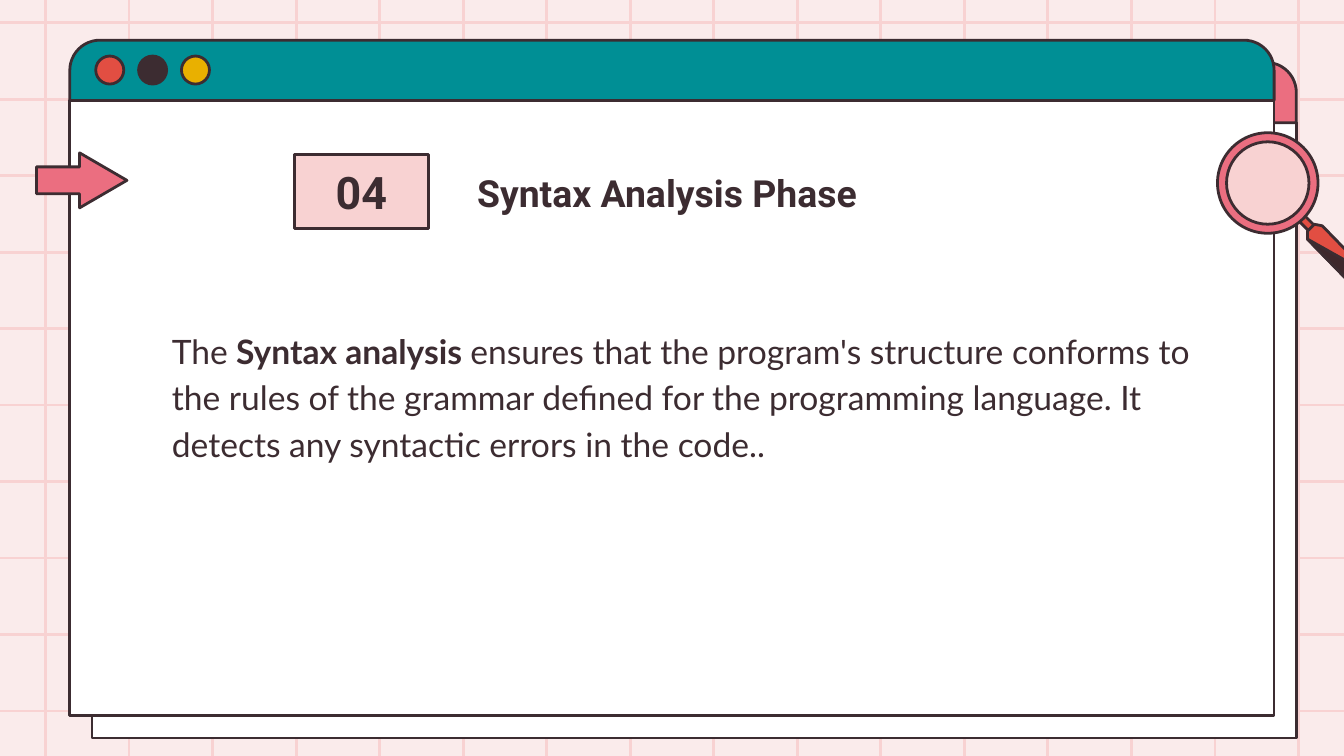
from dataclasses import dataclass

from lxml import etree
from pptx import Presentation
from pptx import util as u
from pptx.dml.color import RGBColor
from pptx.enum import shapes, text
from pptx.oxml import ns
from pptx.util import Cm


@dataclass(frozen=True)
class Theme:
    background: str = "FAEBEB"
    blush: str = "F8D2D2"
    ink: str = "3C2C31"
    handle_shade: str = "3E282C"
    white: str = "FFFFFF"
    pink: str = "EB6E80"
    teal: str = "008F95"
    red: str = "E24E42"
    yellow: str = "E9B000"
    heading_font: str = "Roboto"
    body_font: str = "Lato"
    badge_size: int = 24
    title_size: int = 20
    body_size: int = 18
    line_width: float = 1.5


THEME = Theme()
SHAPE = shapes.MSO_SHAPE


def rgb(value):
    return RGBColor.from_string(value)


def paint(shape, fill):
    """Apply a fill and the common ink outline."""
    shape.shadow.inherit = False
    shape.fill.solid()
    shape.fill.fore_color.rgb = rgb(fill)
    shape.line.color.rgb = rgb(THEME.ink)
    shape.line.width = u.Pt(THEME.line_width)
    return shape


def add_preset(slide, kind, left, top, width, height, fill, adjustments=()):
    shape = slide.shapes.add_shape(kind, Cm(left), Cm(top), Cm(width), Cm(height))
    for index, value in enumerate(adjustments):
        shape.adjustments[index] = value
    return paint(shape, fill)


def add_polygon(slide, points, fill):
    corners = [(Cm(x), Cm(y)) for x, y in points]
    builder = slide.shapes.build_freeform(*corners[0], scale=1.0)
    builder.add_line_segments(corners[1:], close=True)
    return paint(builder.convert_to_shape(), fill)


def write_text(shape, runs, *, font, size, align=text.PP_ALIGN.LEFT,
               anchor=text.MSO_ANCHOR.TOP, spacing=1.0, indent=0.0):
    """Fill a shape with one paragraph of (wording, bold) runs."""
    frame = shape.text_frame
    frame.word_wrap = True
    frame.auto_size = text.MSO_AUTO_SIZE.NONE
    frame.vertical_anchor = anchor
    frame.margin_right = frame.margin_top = frame.margin_bottom = Cm(0.25)
    frame.margin_left = Cm(0.25 + indent)
    paragraph = frame.paragraphs[0]
    paragraph.alignment = align
    paragraph.line_spacing = spacing
    for wording, bold in runs:
        run = paragraph.add_run()
        run.text = wording
        run.font.name = font
        run.font.size = u.Pt(size)
        run.font.bold = bold
        run.font.color.rgb = rgb(THEME.ink)


def add_grid_line(slide, x1, y1, x2, y2):
    line = slide.shapes.add_connector(
        shapes.MSO_CONNECTOR.STRAIGHT, Cm(x1), Cm(y1), Cm(x2), Cm(y2))
    line.line.color.rgb = rgb(THEME.blush)
    line.line.width = u.Pt(THEME.line_width)
    etree.SubElement(line.element.spPr, ns.qn("a:effectLst"))


def add_grid(slide):
    columns, rows = 16, 10
    for column in range(columns):
        x = 0.86 + column * (24.54 - 0.86) / (columns - 1)
        add_grid_line(slide, x, 14.78, x, -0.91)
    for row in range(rows):
        y = 0.43 + row * (13.44 - 0.43) / (rows - 1)
        add_grid_line(slide, -0.56, y, 25.96, y)


def add_window(slide, left, top, bar_fill):
    width, bar_height, page_height = 22.76, 1.14, 11.63
    add_preset(slide, SHAPE.RECTANGLE, left, top + bar_height,
               width, page_height, THEME.white)
    add_preset(slide, SHAPE.ROUND_2_SAME_RECTANGLE, left, top,
               width, bar_height, bar_fill, (0.5, 0))
    for index, fill in enumerate((THEME.red, THEME.ink, THEME.yellow)):
        add_preset(slide, SHAPE.OVAL, left + 0.49 + index * 0.81, top + 0.3,
                   0.53, 0.53, fill)


def add_magnifier(slide):
    neck = [(24.82, 4.45), (24.92, 4.34), (24.64, 4.06), (24.54, 4.17)]
    tip = [(25.76, 5.11), (25.65, 5.26), (25.53, 5.33), (25.45, 5.28)]
    grip = (24.71, 4.52)
    handle = [grip, (24.71, 4.37), (24.84, 4.24), (24.99, 4.27), (25.73, 5.03)]
    add_polygon(slide, neck, THEME.red)
    add_polygon(slide, handle + tip, THEME.red)
    add_polygon(slide, [grip] + tip, THEME.handle_shade)
    add_preset(slide, SHAPE.OVAL, 23.11, 2.61, 1.7, 1.7, THEME.blush)
    add_preset(slide, SHAPE.DONUT, 23.01, 2.51, 1.9, 1.9, THEME.pink, (0.09,))


def add_title(slide):
    title = slide.shapes.title
    title.left, title.top = Cm(2.4), Cm(2.97)
    title.width, title.height = Cm(20.42), Cm(1.24)
    write_text(title, [("Syntax Analysis Phase", True)], font=THEME.heading_font,
               size=THEME.title_size, align=text.PP_ALIGN.CENTER)
    # The layout puts the title first, which is behind the windows.
    title.element.getparent().append(title.element)


def add_body(slide):
    body = slide.shapes.add_textbox(Cm(2.62), Cm(5.89), Cm(20.29), Cm(8.36))
    runs = [
        ("The", False),
        (" Syntax analysis ", True),
        ("ensures that the program's structure conforms to the rules of the "
         "grammar defined for the programming language. It detects any "
         "syntactic errors in the code..", False),
    ]
    write_text(body, runs, font=THEME.body_font, size=THEME.body_size,
               spacing=1.15, indent=0.38)


def add_badge(slide):
    badge = add_preset(slide, SHAPE.RECTANGLE, 5.56, 2.92, 2.54, 1.4, THEME.blush)
    write_text(badge, [("04", True)], font=THEME.heading_font,
               size=THEME.badge_size, align=text.PP_ALIGN.CENTER,
               anchor=text.MSO_ANCHOR.MIDDLE)


def main():
    presentation = Presentation()
    presentation.slide_width, presentation.slide_height = Cm(25.4), Cm(14.29)
    slide = presentation.slides.add_slide(presentation.slide_layouts[5])
    slide.background.fill.solid()
    slide.background.fill.fore_color.rgb = rgb(THEME.background)

    add_grid(slide)
    add_window(slide, 1.74, 1.18, THEME.pink)
    add_window(slide, 1.32, 0.76, THEME.teal)
    add_title(slide)
    add_body(slide)
    add_magnifier(slide)
    add_preset(slide, SHAPE.RIGHT_ARROW, 0.69, 2.89, 1.71, 1.04,
               THEME.pink, (0.49, 0.86))
    add_badge(slide)
    presentation.save("out.pptx")


if __name__ == "__main__":
    main()
